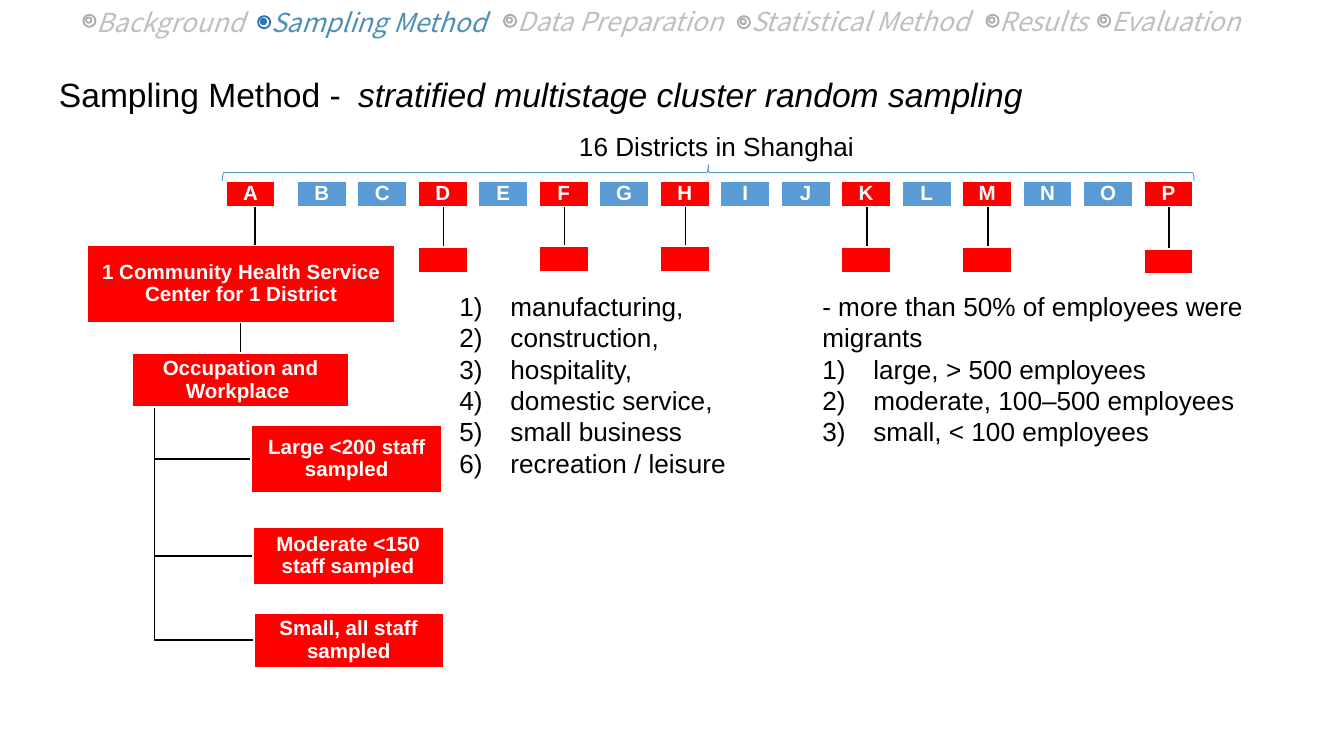
from lxml import etree
from pptx import Presentation
from pptx.dml.color import RGBColor
from pptx.enum.shapes import MSO_CONNECTOR, MSO_SHAPE
from pptx.enum.text import MSO_ANCHOR, PP_ALIGN
from pptx.oxml.ns import qn
from pptx.util import Inches, Pt

RECT, OVAL, BRACE = MSO_SHAPE.RECTANGLE, MSO_SHAPE.OVAL, MSO_SHAPE.RIGHT_BRACE
STRAIGHT = MSO_CONNECTOR.STRAIGHT
CENTER, MIDDLE = PP_ALIGN.CENTER, MSO_ANCHOR.MIDDLE

BLACK = RGBColor(0x00, 0x00, 0x00)
WHITE = RGBColor(0xFF, 0xFF, 0xFF)
RED = RGBColor(0xFF, 0x00, 0x00)
BLUE = RGBColor(0x5B, 0x9B, 0xD5)
NAV_GRAY = RGBColor(0xBF, 0xBF, 0xBF)
NAV_BLUE = RGBColor(0x4D, 0x8F, 0xB7)
DOT_GRAY = RGBColor(0xAF, 0xAB, 0xAB)
DOT_BLUE = RGBColor(0x2E, 0x75, 0xB6)

TITLE = {"name": "Arial", "size": Pt(18)}
TITLE_GAP = {"name": "Arial", "size": Pt(33)}
TITLE_ITALIC = {**TITLE, "italic": True}
BODY = {"name": "Arial", "size": Pt(14)}
LABEL = {"name": "Arial", "size": Pt(11), "bold": True}
NAV = {"name": "Noto Sans CJK SC", "size": Pt(14), "italic": True}

# label, left, text top, text width, dot top
NAV_ITEMS = [
    ("Background", 0.62, 0, 2.23, 0.11),
    ("Sampling Method", 1.92, 0, 2.23, 0.12),
    ("Data Preparation", 3.75, -0.01, 2.23, 0.11),
    ("Statistical Method", 5.49, -0.01, 2.23, 0.12),
    ("Results", 7.34, -0.01, 0.89, 0.11),
    ("Evaluation", 8.17, -0.01, 1.3, 0.11),
]
CURRENT = "Sampling Method"

DISTRICTS = "ABCDEFGHIJKLMNOP"
CENTER_TOPS = {"D": 1.84, "F": 1.83, "H": 1.83, "K": 1.84, "M": 1.84, "P": 1.85}
DISTRICT_TOP, DISTRICT_W, DISTRICT_H, DISTRICT_STEP = 1.35, 0.37, 0.19, 0.45

WORKPLACES = [
    ("Large <200 staff sampled", 1.87, 3.16, 1.42, 0.51),
    ("Moderate <150 staff sampled", 1.88, 3.92, 1.42, 0.43),
    ("Small, all staff sampled", 1.89, 4.56, 1.41, 0.41),
]
TRUNK_X, TRUNK_TOP = 1.15, 3.03

INDUSTRIES = ["manufacturing,", "construction,", "hospitality,",
              "domestic service,", "small business", "recreation / leisure"]
SIZES = ["large, > 500 employees", "moderate, 100–500 employees",
         "small, < 100 employees"]


class SlideBuilder:
    def __init__(self, slide):
        self.shapes = slide.shapes

    def run(self, p, text, style, color):
        r = p.add_run()
        r.text = text
        for name, value in style.items():
            setattr(r.font, name, value)
        r.font.color.rgb = color

    def text(self, x, y, w, h, runs, color=BLACK, wrap=True):
        """Add a text box holding one paragraph of (text, style) runs."""
        tf = self.shapes.add_textbox(*map(Inches, (x, y, w, h))).text_frame
        tf.word_wrap = wrap
        for text, style in runs:
            self.run(tf.paragraphs[0], text, style, color)
        return tf

    def numbered(self, x, y, w, h, items, intro=None):
        """Add a numbered list, with an optional plain line above it."""
        tf = self.text(x, y, w, h, [(intro, BODY)] if intro else [])
        for i, item in enumerate(items):
            p = tf.add_paragraph() if i or intro else tf.paragraphs[0]
            pPr = p._p.get_or_add_pPr()
            pPr.set("marL", str(Inches(0.38)))
            pPr.set("indent", str(-Inches(0.38)))
            etree.SubElement(pPr, qn("a:buFont"), typeface="+mj-lt")
            etree.SubElement(pPr, qn("a:buAutoNum"), type="arabicParenR")
            self.run(p, item, BODY, BLACK)

    def shape(self, kind, x, y, w, h, line, fill=None, width=1):
        sp = self.shapes.add_shape(kind, *map(Inches, (x, y, w, h)))
        self.paint(sp, line, fill, width)
        return sp

    def paint(self, sp, line, fill=None, width=1):
        sp.shadow.inherit = False
        if fill is None:
            sp.fill.background()
        else:
            sp.fill.solid()
            sp.fill.fore_color.rgb = fill
        sp.line.color.rgb = line
        sp.line.width = Pt(width)

    def box(self, x, y, w, h, text="", fill=RED):
        tf = self.shape(RECT, x, y, w, h, WHITE, fill).text_frame
        if not text:
            return
        tf.word_wrap = True
        tf.vertical_anchor = MIDDLE
        for side in ("left", "top", "right", "bottom"):
            setattr(tf, f"margin_{side}", Inches(0.01))
        p = tf.paragraphs[0]
        p.alignment = CENTER
        p.line_spacing = 0.9
        self.run(p, text, LABEL, WHITE)

    def drop(self, x, top, bottom):
        """Add a vertical connector."""
        cx = self.shapes.add_connector(
            STRAIGHT, *map(Inches, (x, top, x, bottom)))
        cx.line.color.rgb = BLACK
        cx.line.width = Pt(1)
        etree.SubElement(cx._element.spPr, qn("a:effectLst"))

    def branch(self, x, top, end_x, end_y):
        """Add an open line going down, then right."""
        fb = self.shapes.build_freeform(Inches(x), Inches(top))
        fb.add_line_segments([(Inches(x), Inches(end_y)),
                              (Inches(end_x), Inches(end_y))], close=False)
        self.paint(fb.convert_to_shape(), BLACK)

    def dot(self, x, y, color, filled):
        self.shape(OVAL, x, y, 0.09, 0.09, color)
        self.shape(OVAL, x + 0.02, y + 0.02, 0.04, 0.04, color,
                   color if filled else None)


def main():
    prs = Presentation()
    prs.slide_width = Inches(10)
    prs.slide_height = prs.slide_width * 9 // 16
    s = SlideBuilder(prs.slides.add_slide(prs.slide_layouts[6]))

    tf = s.text(0.34, 0.24, 9.32, 0.63, [
        ("Sampling Method -", TITLE), (" ", TITLE_GAP),
        ("stratified multistage cluster random sampling", TITLE_ITALIC)])
    tf.margin_top = Inches(0.1)

    for _, x, y, _, h in reversed(WORKPLACES):
        s.branch(TRUNK_X, TRUNK_TOP, x, y + h / 2)
    s.drop(1.79, 2.4, 2.63)
    s.box(0.98, 2.63, 1.62, 0.4, "Occupation and Workplace ")
    for label, *place in WORKPLACES:
        s.box(*place, label)

    for i, name in enumerate(DISTRICTS):
        x = 1.76 + i * DISTRICT_STEP if i else 1.68
        s.box(x, DISTRICT_TOP, DISTRICT_W, DISTRICT_H, name,
              RED if name == "A" or name in CENTER_TOPS else BLUE)
        if name in CENTER_TOPS:
            top = CENTER_TOPS[name]
            s.drop(x + 0.19, DISTRICT_TOP + DISTRICT_H, top)
            s.box(x, top, DISTRICT_W, DISTRICT_H)
    s.box(0.65, 1.82, 2.29, 0.58,
          "1 Community Health Service Center for 1 District")
    s.drop(1.9, DISTRICT_TOP + DISTRICT_H, 1.82)

    s.numbered(3.32, 2.11, 3.16, 1.51, INDUSTRIES)
    s.numbered(6.02, 2.11, 3.64, 1.28, SIZES,
               "- more than 50% of employees were migrants")

    for label, x, y, w, dot_y in NAV_ITEMS:
        current = label == CURRENT
        s.text(x, y, w, 0.34, [(label, NAV)], NAV_BLUE if current else NAV_GRAY)
        s.dot(x, dot_y, DOT_BLUE if current else DOT_GRAY, current)

    brace = s.shape(BRACE, 5.21, -2.33, 0.12, 7.23, BLUE, width=0.5)
    brace.rotation = 270
    s.text(4.21, 0.92, 2.26, 0.34, [("16 Districts in Shanghai", BODY)],
           wrap=False)
    prs.save("out.pptx")


if __name__ == "__main__":
    main()
